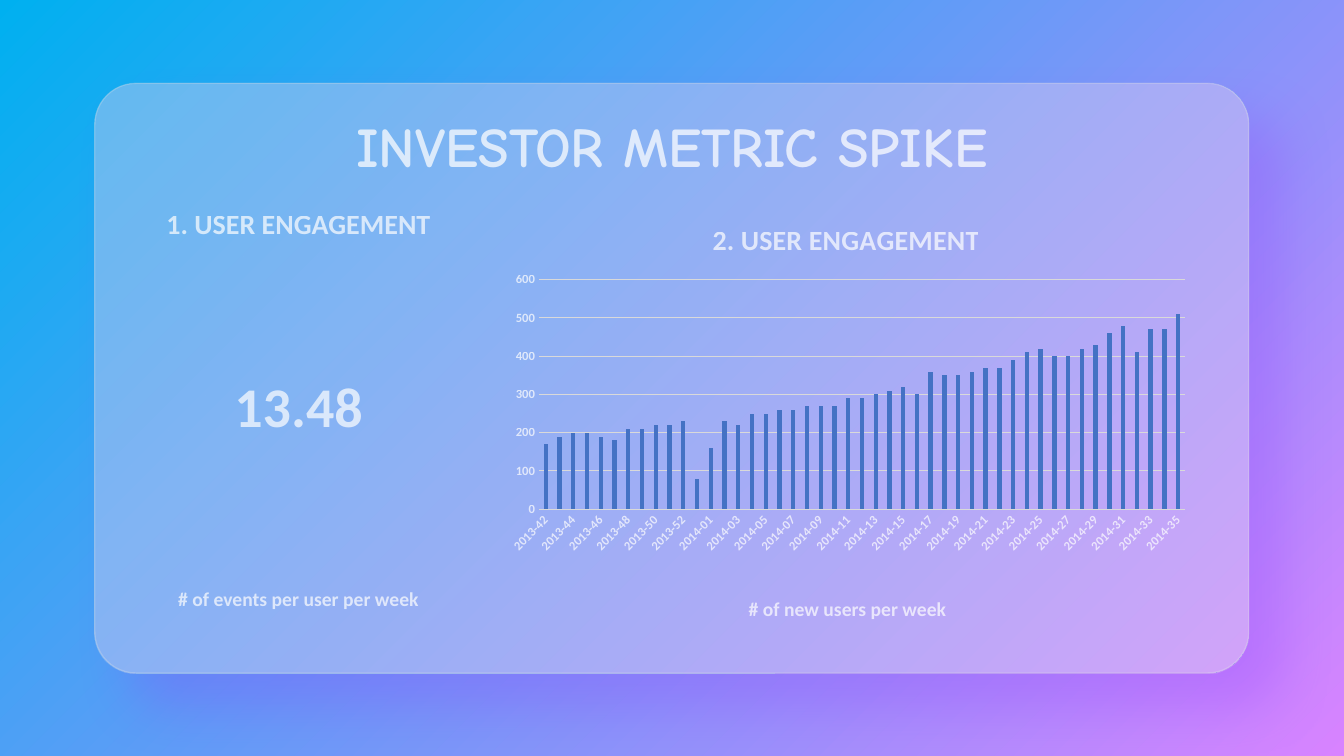
from dataclasses import dataclass

import pptx
import pptx.chart.data
import pptx.dml.color
import pptx.enum.chart
import pptx.enum.shapes
import pptx.enum.text
import pptx.oxml
import pptx.oxml.ns
import pptx.util
from lxml import etree
from pptx.dml.color import RGBColor
from pptx.util import Cm

WHITE = RGBColor(0xFF, 0xFF, 0xFF)
SKY = RGBColor(0x00, 0xB0, 0xF0)
ORCHID = RGBColor(0xD8, 0x83, 0xFF)
CARD_BLUE = RGBColor(0x40, 0xAE, 0xF4)
CARD_PURPLE = RGBColor(0xCD, 0x94, 0xFF)
GLASS = RGBColor(0xE7, 0xE6, 0xE6)
SHADOW = RGBColor(0x94, 0x37, 0xFF)
GRID = RGBColor(0xD9, 0xD9, 0xD9)
BAR = RGBColor(0x44, 0x72, 0xC4)

CARD = (Cm(2.39), Cm(2.1), Cm(29.08), Cm(14.86))
CHART = (Cm(12.52), Cm(5.06), Cm(17.7), Cm(9.04))
WEEKS = [f"2013-{w}" for w in range(42, 54)] + [f"2014-{w:02}" for w in range(1, 36)]
NEW_USERS = [
    170, 190, 200, 200, 190, 180, 210, 210, 220, 220, 230, 80,
    160, 230, 220, 250, 250, 260, 260, 270, 270, 270, 290, 290,
    300, 310, 320, 300, 360, 350, 350, 360, 370, 370, 390, 410,
    420, 400, 400, 420, 430, 460, 480, 410, 470, 470, 510,
]


@dataclass
class Line:
    text: str
    size: float
    space_before: float = 0


@dataclass
class Label:
    left: float
    top: float
    width: float
    height: float
    lines: list[Line]
    font: str = "Calibri"
    opacity: int = 70


LABELS = [
    Label(2.39, 2.69, 29.08, 1.96, [Line("INVESTOR METRIC SPIKE", 40)], "Comic Neue", 72),
    Label(3.65, 5.08, 7.75, 6.15, [Line("1. USER ENGAGEMENT", 20), Line("13.48", 40, 93.5)]),
    Label(12.51, 14.91, 17.7, 0.86, [Line("# of new users per week", 14)]),
    Label(3.65, 14.66, 7.75, 0.86, [Line("# of events per user per week", 14)]),
]


def set_opacity(root: etree._Element, *percents: int) -> None:
    for color, percent in zip(root.iter(pptx.oxml.ns.qn("a:srgbClr")), percents):
        alpha = etree.SubElement(color, pptx.oxml.ns.qn("a:alpha"))
        alpha.set("val", str(percent * 1000))


def set_gradient(fill, start: RGBColor, end: RGBColor) -> None:
    fill.gradient()
    fill.gradient_angle = 315
    for stop, color, position in zip(fill.gradient_stops, (start, end), (0, 1)):
        stop.color.rgb = color
        stop.position = position


def add_card(s, start: RGBColor, end: RGBColor):
    sp = s.shapes.add_shape(pptx.enum.shapes.MSO_SHAPE.ROUNDED_RECTANGLE, *CARD)
    sp.adjustments[0] = 0.07
    sp.shadow.inherit = False
    set_gradient(sp.fill, start, end)
    sp.line.fill.background()
    return sp


def add_shadow(sp) -> None:
    effects = sp.element.spPr.find(pptx.oxml.ns.qn("a:effectLst"))
    effects.append(pptx.oxml.parse_xml(
        f'<a:outerShdw {pptx.oxml.ns.nsdecls("a")} blurRad="{pptx.util.Pt(40)}" '
        f'dist="{pptx.util.Pt(35)}" dir="2700000" algn="tl" rotWithShape="0">'
        f'<a:srgbClr val="{SHADOW}"><a:alpha val="25000"/></a:srgbClr></a:outerShdw>'
    ))


def style_font(font, size: float, name: str = "Calibri") -> None:
    font.size = pptx.util.Pt(size)
    font.name = name
    font.bold = True
    font.color.rgb = WHITE


def add_label(s, label: Label) -> None:
    sp = s.shapes.add_textbox(Cm(label.left), Cm(label.top), Cm(label.width), Cm(label.height))
    tf = sp.text_frame
    tf.word_wrap = True
    tf.auto_size = pptx.enum.text.MSO_AUTO_SIZE.SHAPE_TO_FIT_TEXT
    tf.text = "\n".join(line.text for line in label.lines)
    for p, line in zip(tf.paragraphs, label.lines):
        p.alignment = pptx.enum.text.PP_ALIGN.CENTER
        p.space_before = pptx.util.Pt(line.space_before)
        for r in p.runs:
            style_font(r.font, line.size, label.font)
    set_opacity(sp.element, *[label.opacity] * len(label.lines))


def place(parent: etree._Element, target: str, **fractions: float) -> None:
    for old in parent.findall(pptx.oxml.ns.qn("c:layout")):
        parent.remove(old)
    inner = f'<c:layoutTarget val="{target}"/>' if target else ""
    modes = "".join(f'<c:{k}Mode val="edge"/>' for k in ("x", "y"))
    sizes = "".join(f'<c:{k} val="{v}"/>' for k, v in fractions.items())
    layout = pptx.oxml.parse_xml(
        f'<c:layout {pptx.oxml.ns.nsdecls("c")}><c:manualLayout>'
        f"{inner}{modes}{sizes}</c:manualLayout></c:layout>"
    )
    text = parent.find(pptx.oxml.ns.qn("c:tx"))
    parent.insert(0 if text is None else 1, layout)


def style_axis(axis, element: etree._Element) -> None:
    axis.major_tick_mark = pptx.enum.chart.XL_TICK_MARK.NONE
    axis.minor_tick_mark = pptx.enum.chart.XL_TICK_MARK.NONE
    style_font(axis.tick_labels.font, 9)
    labels = element.find(pptx.oxml.ns.qn("c:txPr"))
    labels.find(pptx.oxml.ns.qn("a:bodyPr")).set("rot", "-60000000")
    set_opacity(labels, 70)


def add_user_chart(s) -> None:
    data = pptx.chart.data.CategoryChartData()
    data.categories = WEEKS
    data.add_series("Series 1", NEW_USERS)
    kind = pptx.enum.chart.XL_CHART_TYPE.COLUMN_CLUSTERED
    chart = s.shapes.add_chart(kind, *CHART, data).chart
    chart.font.size = pptx.util.Pt(10)
    chart.font.name = "Calibri"
    chart.has_legend = False

    chart.has_title = True
    tf = chart.chart_title.text_frame
    tf.text = "2. USER ENGAGEMENT"
    for r in tf.paragraphs[0].runs:
        style_font(r.font, 20)
    root = chart.element.chart
    title = root.find(pptx.oxml.ns.qn("c:title"))
    set_opacity(title, 70)
    place(title, "", x=0.3, y=0.04)
    place(root.plotArea, "inner", x=0.06, y=0.22, w=0.92, h=0.64)

    plot = chart.plots[0]
    plot.vary_by_categories = False
    plot.gap_width = 219
    plot.overlap = -27
    fill = plot.series[0].format.fill
    fill.solid()
    fill.fore_color.rgb = BAR

    weeks, users = chart.category_axis, chart.value_axis
    for axis, tag in ((weeks, "c:catAx"), (users, "c:valAx")):
        style_axis(axis, root.plotArea.find(pptx.oxml.ns.qn(tag)))
    users.minimum_scale, users.maximum_scale, users.major_unit = 0, 600, 100
    users.format.line.fill.background()
    users.has_major_gridlines = True
    for line in (weeks.format.line, users.major_gridlines.format.line):
        line.color.rgb = GRID
        line.width = pptx.util.Pt(0.75)


def main() -> None:
    prs = pptx.Presentation()
    prs.slide_width, prs.slide_height = Cm(33.87), Cm(19.05)
    s = prs.slides.add_slide(prs.slide_layouts[6])
    set_gradient(s.background.fill, SKY, ORCHID)

    add_shadow(add_card(s, CARD_BLUE, CARD_PURPLE))
    glass = add_card(s, GLASS, GLASS)
    glass.line.color.rgb = GLASS
    glass.line.width = pptx.util.Pt(1)
    set_opacity(glass.element, 22, 20, 25)

    for label in LABELS:
        add_label(s, label)
    add_user_chart(s)
    prs.save("out.pptx")


if __name__ == "__main__":
    main()
